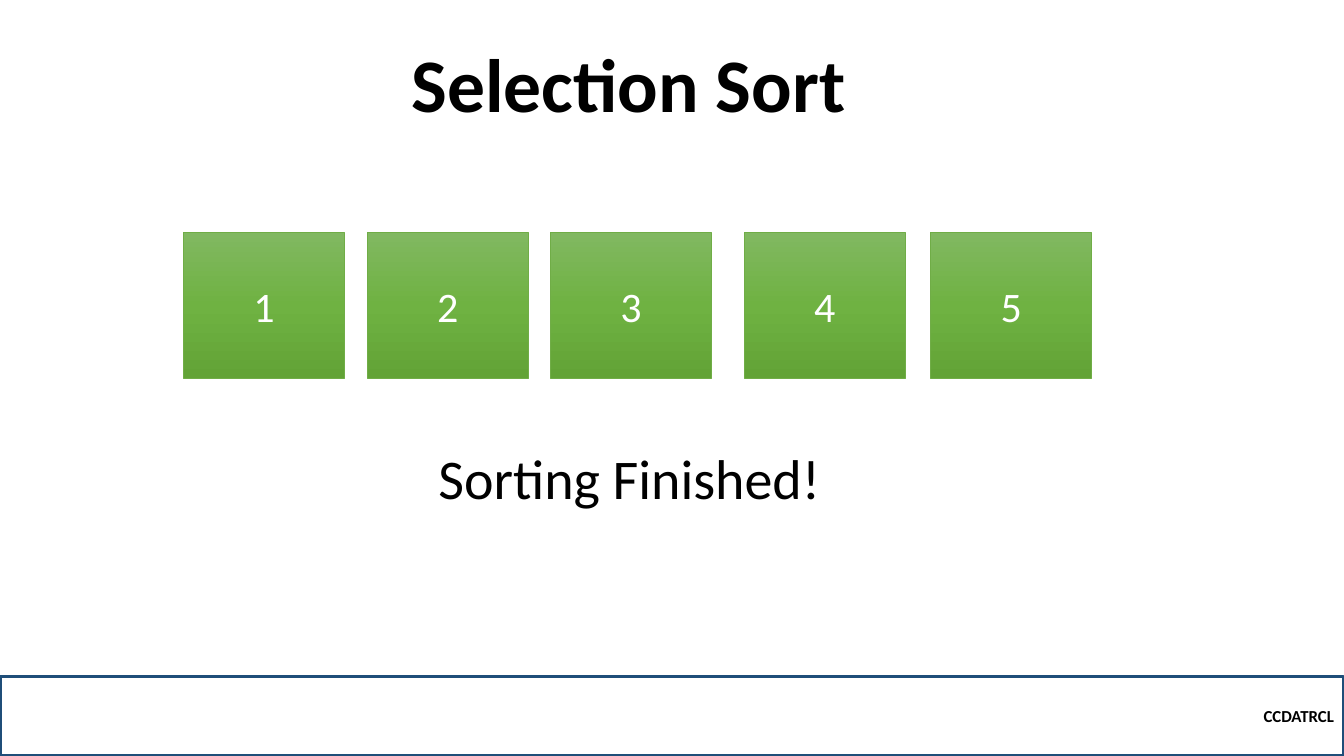
import copy
import pptx
import pptx.util
import pptx.dml.color
import pptx.enum.shapes
import pptx.enum.text
from pptx.util import Inches

COLORS = {"ink": "000000", "white": "FFFFFF", "navy": "1F4E79", "edge": "70AD47"}
GREENS = [(0, "81B861"), (0.5, "6FB242"), (1, "62A336")]
RECT = pptx.enum.shapes.MSO_SHAPE.RECTANGLE
ALIGN = pptx.enum.text.PP_ALIGN
ANCHOR = pptx.enum.text.MSO_ANCHOR
rgb = pptx.dml.color.RGBColor.from_string


def write(shape, text, size, color="ink", bold=False, align=ALIGN.LEFT,
          anchor=ANCHOR.MIDDLE, spacing=None):
    frame = shape.text_frame
    frame.word_wrap = True
    frame.vertical_anchor = anchor
    para = frame.paragraphs[0]
    para.alignment = align
    para.line_spacing = spacing
    run = para.add_run()
    run.text = text
    run.font.name = "Calibri"
    run.font.size = pptx.util.Pt(size)
    run.font.bold = bold
    run.font.color.rgb = rgb(COLORS[color])


def add_box(left, top, width, height, line, weight):
    box = slide.shapes.add_shape(RECT, Inches(left), Inches(top), Inches(width), Inches(height))
    box.shadow.inherit = False
    box.line.color.rgb = rgb(COLORS[line])
    box.line.width = pptx.util.Pt(weight)
    return box


deck = pptx.Presentation()
deck.slide_width, deck.slide_height = Inches(13.33), Inches(7.5)
slide = deck.slides.add_slide(deck.slide_layouts[6])

# Title
title = slide.shapes.add_textbox(Inches(0.8), Inches(0.54), Inches(10.87), Inches(0.79))
write(title, "Selection Sort", 54, bold=True, align=ALIGN.CENTER,
      anchor=ANCHOR.BOTTOM, spacing=0.9)

# Footer bar
footer = add_box(0, 6.71, 13.33, 0.79, "navy", 2.25)
footer.fill.background()
write(footer, "CCDATRCL", 12, bold=True, align=ALIGN.RIGHT)

# Sorted values
for value, left in enumerate([1.82, 3.64, 5.46, 7.38, 9.23], start=1):
    tile = add_box(left, 2.31, 1.6, 1.44, "edge", 0.5)
    tile.fill.gradient()
    tile.fill.gradient_angle = 270
    stops = tile._element.spPr.find(".//" + pptx.oxml.ns.qn("a:gsLst"))
    stops.append(copy.deepcopy(stops[0]))
    for stop, (place, green) in zip(tile.fill.gradient_stops, GREENS):
        stop.position = place
        stop.color.rgb = rgb(green)
    write(tile, str(value), 30, color="white", align=ALIGN.CENTER)

# Closing message
done = slide.shapes.add_textbox(Inches(4.25), Inches(4.35), Inches(4.02), Inches(0.77))
write(done, "Sorting Finished!", 40, anchor=ANCHOR.TOP)
done.text_frame.auto_size = pptx.enum.text.MSO_AUTO_SIZE.SHAPE_TO_FIT_TEXT

deck.save("out.pptx")
